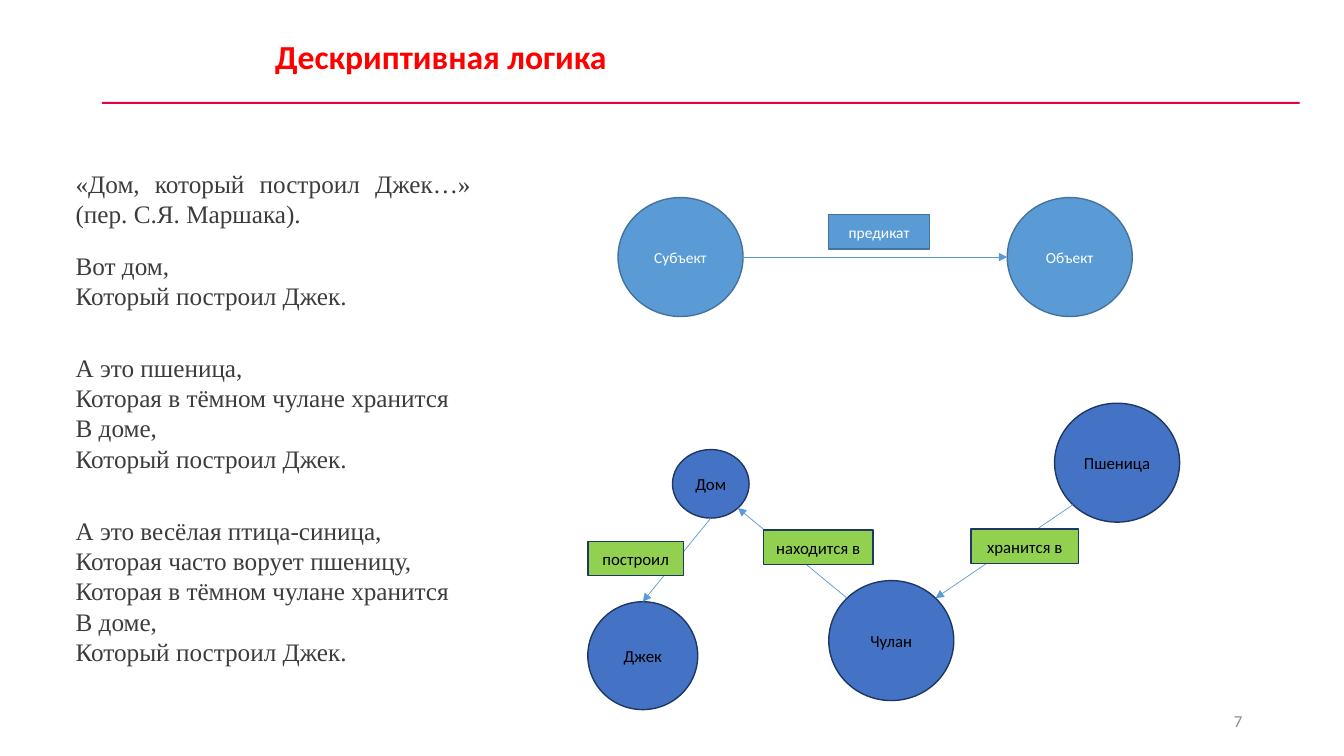
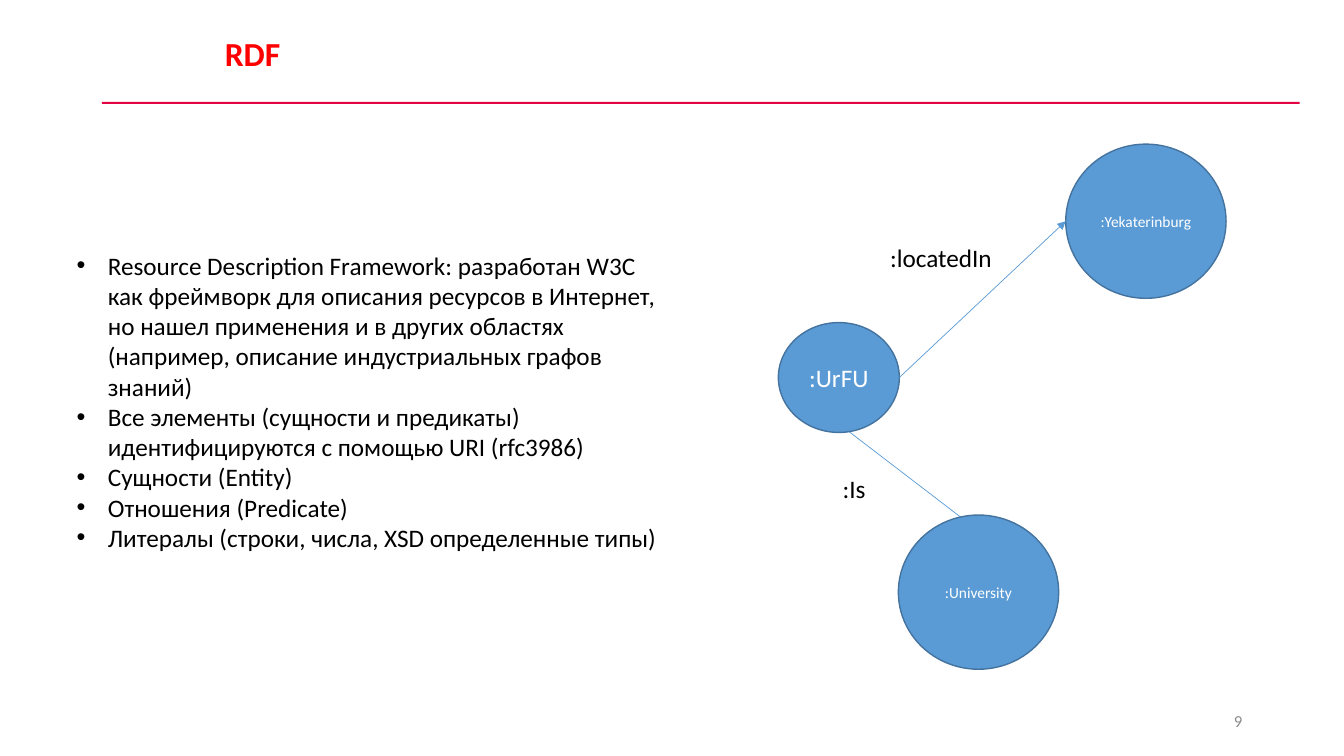
from copy import deepcopy
from dataclasses import dataclass
from math import cos, radians, sin

from lxml import etree
from pptx import Presentation
from pptx.dml.color import RGBColor
from pptx.enum.shapes import MSO_CONNECTOR, MSO_SHAPE
from pptx.enum.text import MSO_ANCHOR, MSO_AUTO_SIZE, PP_ALIGN
from pptx.oxml.ns import qn
from pptx.util import Inches, Pt

OVAL, RECT = MSO_SHAPE.OVAL, MSO_SHAPE.RECTANGLE
STRAIGHT = MSO_CONNECTOR.STRAIGHT
TOP, MIDDLE = MSO_ANCHOR.TOP, MSO_ANCHOR.MIDDLE
LEFT, CENTER = PP_ALIGN.LEFT, PP_ALIGN.CENTER
RIGHT, JUSTIFY = PP_ALIGN.RIGHT, PP_ALIGN.JUSTIFY
FIXED = MSO_AUTO_SIZE.NONE

# Directions on an oval, in degrees clockwise from the right
EAST, SOUTH_EAST, SOUTH, SOUTH_WEST = 0, 45, 90, 135
WEST, NORTH_WEST, NORTH = 180, 225, 270


@dataclass(frozen=True)
class Theme:
    font: str = "Calibri"
    serif: str = "Times New Roman"
    title: str = "FF0000"
    rule: str = "E20443"
    number: str = "8C8C8C"
    verse: str = "3C3C3C"
    black: str = "000000"
    white: str = "FFFFFF"
    sky: str = "5B9BD5"
    sky_edge: str = "43739E"
    blue: str = "4472C4"
    blue_edge: str = "1F3763"
    green: str = "92D050"
    head_size: float = 24
    text_size: float = 18
    node_size: float = 12
    small_size: float = 11


THEME = Theme()
# Looks of the nodes and labels: fill, edge and text colour
SKY = dict(fill=THEME.sky, edge=THEME.sky_edge, color=THEME.white,
           size=THEME.small_size)
BLUE = dict(fill=THEME.blue, edge=THEME.blue_edge, color=THEME.black,
            size=THEME.node_size)
GREEN = {**BLUE, "fill": THEME.green}
LOOSE = dict(lead=1.07, after=8)

VERSES = [
    ("«Дом, который построил Джек…» (пер. С.Я. Маршака).", JUSTIFY, 0),
    ("Вот дом,\nКоторый построил Джек.", LEFT, 0),
    ("А это пшеница,\nКоторая в тёмном чулане хранится\n"
     "В доме,\nКоторый построил Джек.", LEFT, 15),
    ("А это весёлая птица-синица,\nКоторая часто ворует пшеницу,\n"
     "Которая в тёмном чулане хранится\nВ доме,\n"
     "Который построил Джек.", LEFT, 15),
]
POINTS = [
    "Resource Description Framework: разработан W3C как фреймворк для "
    "описания ресурсов в Интернет, но нашел применения и в других областях "
    "(например, описание индустриальных графов знаний)",
    "Все элементы (сущности и предикаты) идентифицируются с помощью URI "
    "(rfc3986)",
    "Сущности (Entity)",
    "Отношения (Predicate)",
    "Литералы (строки, числа, XSD определенные типы)",
]


def rgb(code):
    return RGBColor.from_string(code)


def place(shape, box):
    shape.left, shape.top, shape.width, shape.height = map(Inches, box)


def mark(par, indent=0, bullet=None):
    """Set the hanging indent and the bullet, or turn the bullet off."""
    props = par._p.get_or_add_pPr()
    props.set("marL", str(Inches(indent)))
    props.set("indent", str(-Inches(indent)))
    if bullet:
        font = etree.SubElement(props, qn("a:buFont"))
        font.set("typeface", "Arial")
        etree.SubElement(props, qn("a:buChar")).set("char", bullet)
    else:
        etree.SubElement(props, qn("a:buNone"))


def write(par, text, size=THEME.text_size, color=THEME.black,
          font=THEME.font, bold=False, align=LEFT, lead=1, before=0, after=0):
    par.text = text
    par.alignment, par.line_spacing = align, lead
    par.space_before, par.space_after = Pt(before), Pt(after)
    for run in par.runs:
        run.font.size, run.font.name, run.font.bold = Pt(size), font, bold
        run.font.color.rgb = rgb(color)
    for gap in par._p.findall(qn("a:br")):
        gap.append(deepcopy(par.runs[0]._r.rPr))


def frame(shape, anchor=TOP):
    """Prepare the text frame of a shape and give its first paragraph."""
    area = shape.text_frame
    area.word_wrap, area.auto_size = True, FIXED
    area.vertical_anchor = anchor
    return area.paragraphs[0]


def note(slide, text, box, anchor=TOP, **style):
    shape = slide.shapes.add_textbox(*map(Inches, box))
    write(frame(shape, anchor), text, **style)


def block(slide, kind, box, fill, edge=None):
    shape = slide.shapes.add_shape(kind, *map(Inches, box))
    shape.shadow.inherit = False
    shape.fill.solid()
    shape.fill.fore_color.rgb = rgb(fill)
    if edge:
        shape.line.color.rgb = rgb(edge)
        shape.line.width = Pt(1)
    else:
        shape.line.fill.background()
    return shape


def node(slide, text, box, fill, edge, kind=OVAL, **style):
    shape = block(slide, kind, box, fill, edge)
    write(frame(shape, MIDDLE), text, align=CENTER, **style)
    return shape


def rim(oval, angle):
    """Give the point of an oval's outline in a direction."""
    turn = radians(angle)
    return (round(oval.left + oval.width * (1 + cos(turn)) / 2),
            round(oval.top + oval.height * (1 + sin(turn)) / 2))


def link(slide, start, leave, end, enter, under=False):
    """Draw an arrow between two ovals, if asked beneath all shapes."""
    line = slide.shapes.add_connector(
        STRAIGHT, *rim(start, leave), *rim(end, enter))
    line.line.color.rgb = rgb(THEME.sky)
    line.line.width = Pt(0.5)
    tail = etree.SubElement(line.line._get_or_add_ln(), qn("a:tailEnd"))
    tail.set("type", "triangle")
    etree.SubElement(line._element.spPr, qn("a:effectLst"))
    if under:
        slide.shapes._spTree.insert(2, line._element)


def page(deck, title, box, number):
    """Add a slide with its title, red rule and number."""
    slide = deck.slides.add_slide(deck.slide_layouts[1])
    block(slide, RECT, (1.01, 1.01, 11.88, 0.02), THEME.rule)
    head = slide.shapes.title
    place(head, box)
    write(frame(head), title, size=THEME.head_size, color=THEME.title,
          bold=True)
    note(slide, number, (9.42, 6.95, 3, 0.4), anchor=MIDDLE, align=RIGHT,
         size=THEME.node_size, color=THEME.number)
    return slide


def body(slide, box, count):
    """Place the body and give its paragraphs, one for each item."""
    shape = slide.placeholders[1]
    place(shape, box)
    first = frame(shape)
    return [first] + [shape.text_frame.add_paragraph()
                      for _ in range(count - 1)]


def logic(deck):
    slide = page(deck, "Дескриптивная логика", (2.63, 0.31, 8.83, 0.5), "7")
    pars = body(slide, (0.65, 1.62, 4.12, 5.09), len(VERSES))
    for par, (text, align, before) in zip(pars, VERSES):
        write(par, text, font=THEME.serif, color=THEME.verse, align=align,
              before=before, after=15)
        mark(par)

    subject, target = [
        node(slide, text, (left, 1.96, 1.24, 1.18), **SKY, **LOOSE)
        for text, left in (("Субъект", 6.13), ("Объект", 9.99))]
    link(slide, subject, EAST, target, WEST)
    node(slide, "предикат", (8.22, 2.13, 1, 0.34), kind=RECT, **SKY, **LOOSE)

    house, jack, wheat, store = [
        node(slide, text, box, **BLUE) for text, box in (
            ("Дом", (6.67, 4.46, 0.76, 0.68)),
            ("Джек", (5.83, 5.97, 1.09, 1.07)),
            ("Пшеница", (10.46, 4, 1.24, 1.18)),
            ("Чулан", (8.22, 5.76, 1.24, 1.19)))]
    link(slide, house, SOUTH, jack, NORTH)
    link(slide, store, NORTH_WEST, house, SOUTH_EAST)
    link(slide, wheat, SOUTH_WEST, store, -SOUTH_EAST)
    for text, left, top, width in (("построил", 5.83, 5.37, 0.95),
                                   ("находится в", 7.57, 5.26, 1.09),
                                   ("хранится в", 9.63, 5.25, 1.07)):
        node(slide, text, (left, top, width, 0.34), kind=RECT, **GREEN)


def triples(deck):
    slide = page(deck, "RDF", (2.13, 0.28, 9.23, 0.5), "9")
    pars = body(slide, (0.66, 2.43, 5.99, 3.74), len(POINTS))
    for par, text in zip(pars, POINTS):
        write(par, text)
        mark(par, 0.31, "•")

    school = node(slide, ":UrFU", (7.72, 3.2, 1.2, 1.09),
                  **{**SKY, "size": THEME.text_size})
    city, kind = [
        node(slide, text, (left, top, 1.59, 1.53), **SKY)
        for text, left, top in ((":Yekaterinburg", 10.57, 1.43),
                                (":University", 8.91, 5.11))]
    link(slide, school, WEST, kind, EAST, under=True)
    link(slide, school, EAST, city, WEST)
    note(slide, ":locatedIn", (8.73, 2.36, 1.76, 0.4))
    note(slide, ":Is", (8.26, 4.65, 0.63, 0.4))


def main():
    deck = Presentation()
    deck.slide_width, deck.slide_height = Inches(13.33), Inches(7.5)
    logic(deck)
    triples(deck)
    deck.save("out.pptx")


if __name__ == "__main__":
    main()
